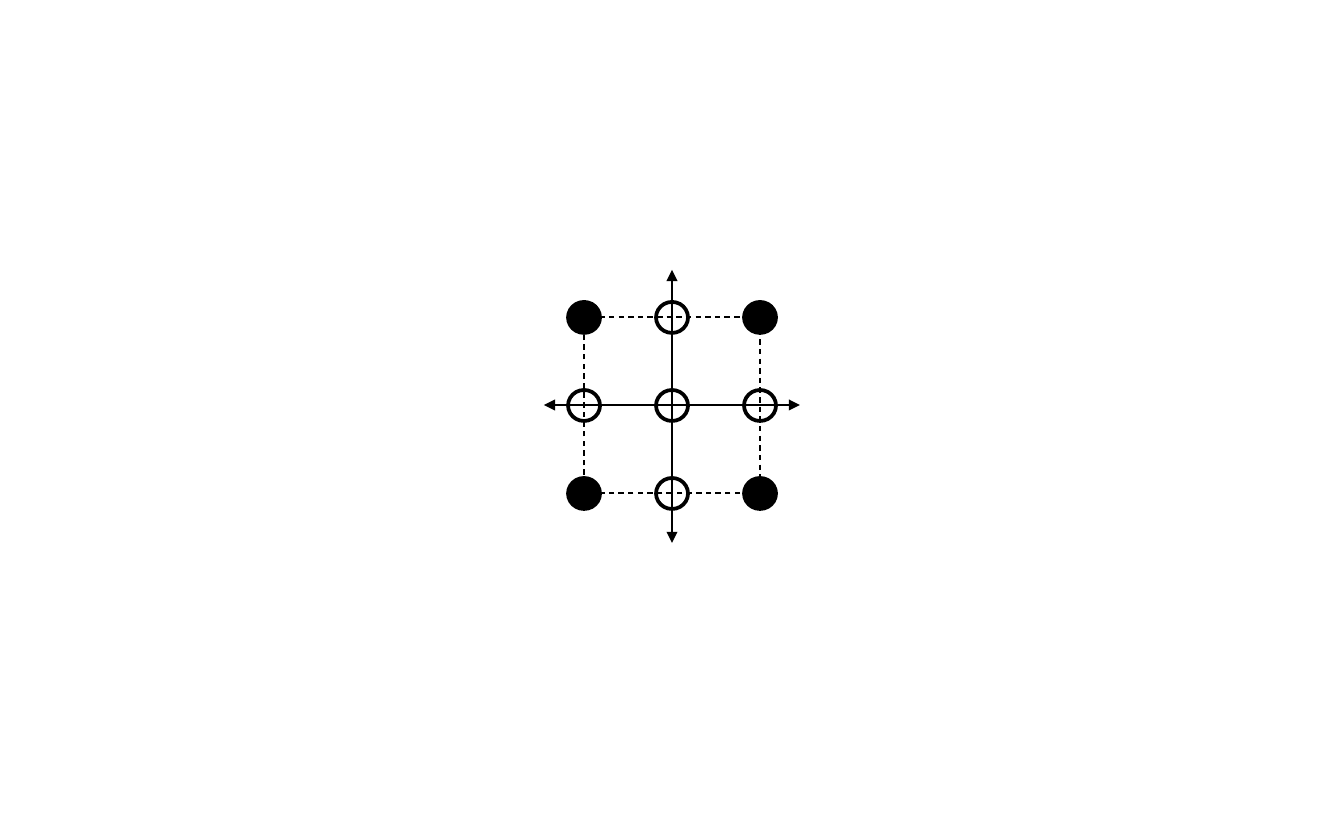
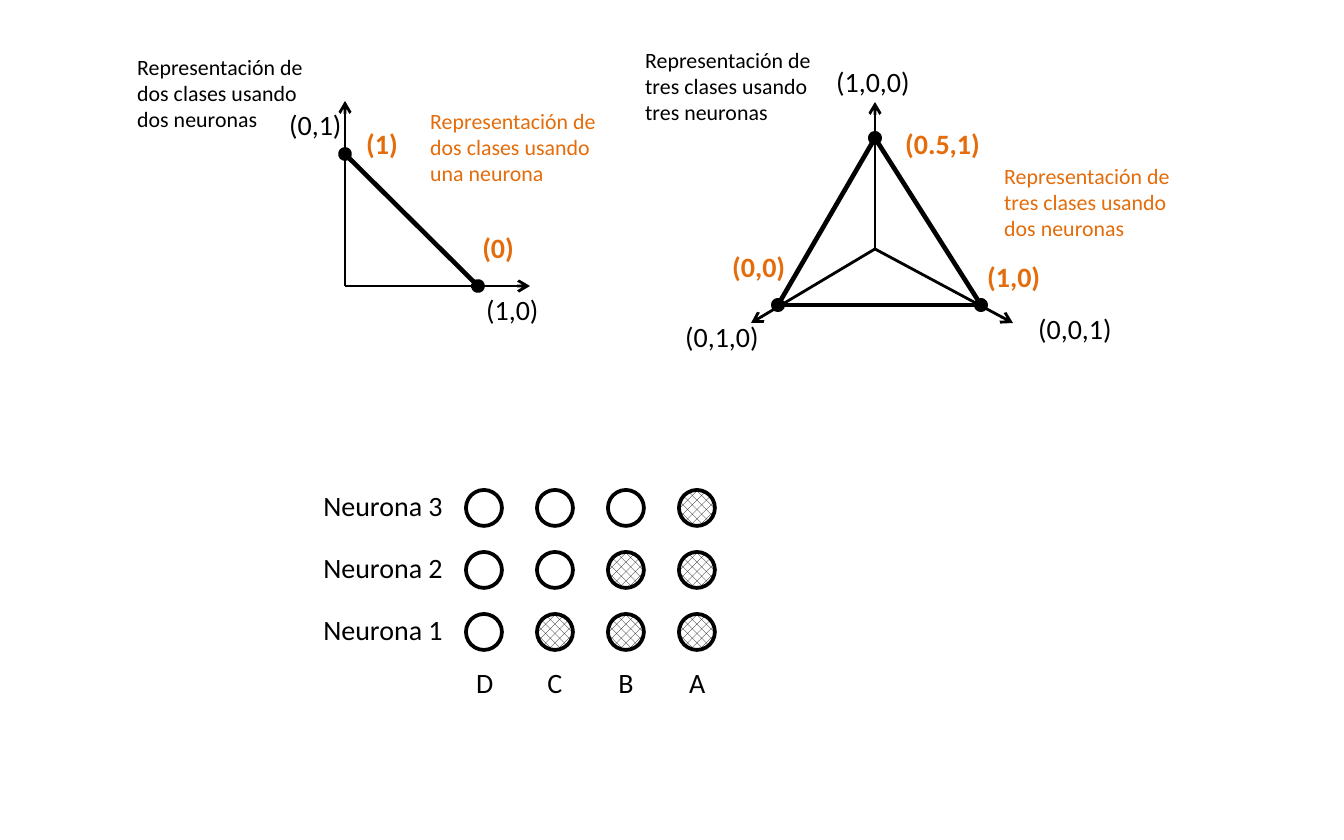
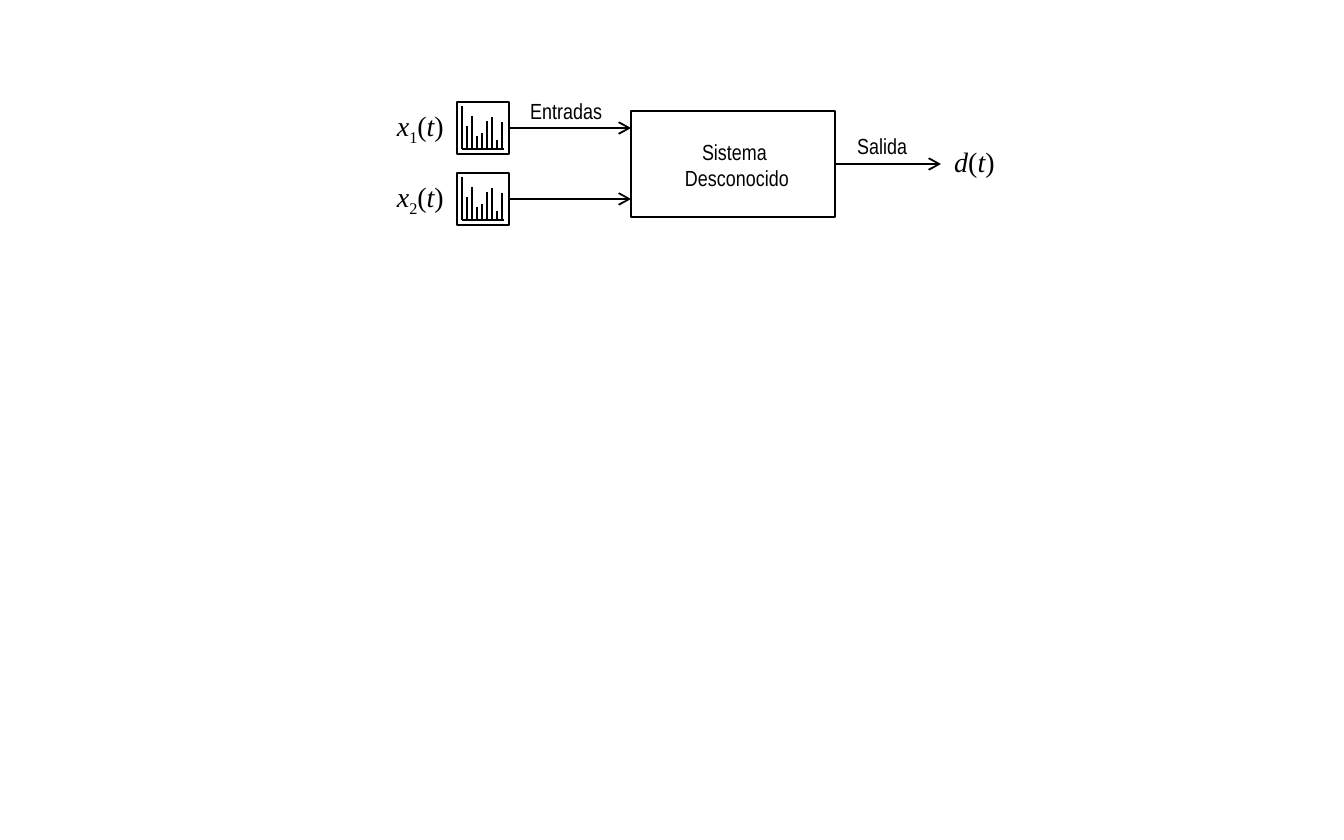
import pptx
import pptx.dml.color
import pptx.enum.dml
import pptx.enum.shapes
import pptx.enum.text
import pptx.oxml.ns
import pptx.oxml.xmlchemy
import pptx.util

SCALE = 9144000 / 1344
BLACK = pptx.dml.color.RGBColor(0, 0, 0)
WHITE = pptx.dml.color.RGBColor(255, 255, 255)
ORANGE = pptx.dml.color.RGBColor(0xE4, 0x6C, 0x0A)
SHAPE = pptx.enum.shapes.MSO_SHAPE
ALIGN = pptx.enum.text.PP_ALIGN
HATCH = "hatch"
NARROW = {"size": 11.7, "font": "Arial Narrow"}
BARS = (43, 23, 33, 13, 16, 28, 32, 9, 27)


def px(num):
    """Turn pixels into EMU."""
    return pptx.util.Emu(round(num * SCALE))


def text(shapes, box, *rows, size=15, font="Calibri", color=BLACK, bold=False,
         align=ALIGN.LEFT):
    """Write rows, each a string or a list of (word, look) runs."""
    frame = shapes.add_textbox(*map(px, box)).text_frame
    frame.word_wrap = False
    frame.auto_size = pptx.enum.text.MSO_AUTO_SIZE.SHAPE_TO_FIT_TEXT
    for num, row in enumerate(rows):
        para = frame.add_paragraph() if num else frame.paragraphs[0]
        para.alignment = align
        for word, look in [(row, "")] if isinstance(row, str) else row:
            run = para.add_run()
            run.text = word
            run.font.size = pptx.util.Pt(size)
            run.font.name = font
            run.font.bold = bold
            run.font.italic = look == "italic"
            run.font.color.rgb = color
            if look == "sub":
                run.font._rPr.set("baseline", "-25000")


def math(shapes, box, name, sub="", align=ALIGN.LEFT):
    """Write a signal as a function of time."""
    runs = [(name, "italic"), (sub, "sub"), ("(", ""), ("t", "italic"), (")", "")]
    text(shapes, box, [run for run in runs if run[0]],
         font="Times New Roman", align=align)


def shape(shapes, kind, box, width, fill=None):
    """Draw a black outline with no fill, a black fill or a hatch."""
    item = shapes.add_shape(kind, *map(px, box))
    item.shadow.inherit = False
    item.line.color.rgb = BLACK
    item.line.width = pptx.util.Pt(width)
    if fill is None:
        item.fill.background()
    elif fill == HATCH:
        item.fill.patterned()
        item.fill.pattern = pptx.enum.dml.MSO_PATTERN.PERCENT_50
        item.fill.fore_color.rgb = BLACK
        item.fill.back_color.rgb = WHITE
    else:
        item.fill.solid()
        item.fill.fore_color.rgb = fill
    return item


def line(shapes, start, end, width, head=None, tail=None):
    """Draw a straight black line with optional ends."""
    item = shapes.add_connector(pptx.enum.shapes.MSO_CONNECTOR.STRAIGHT,
                                *map(px, start + end))
    item.line.color.rgb = BLACK
    item.line.width = pptx.util.Pt(width)
    stroke = item.line._get_or_add_ln()
    for tag, kind in (("a:headEnd", head), ("a:tailEnd", tail)):
        if kind:
            mark = pptx.oxml.xmlchemy.OxmlElement(tag)
            mark.set("type", kind)
            stroke.append(mark)
    item._element.spPr.append(pptx.oxml.xmlchemy.OxmlElement("a:effectLst"))
    return item


def lattice(shapes):
    """Draw nine points around two axes."""
    left, top, step = 584, 317, 88
    for start, end in (((544, 405), (800, 405)), ((672, 270), (672, 543))):
        line(shapes, start, end, 1.5, "triangle", "triangle")
    frame = shape(shapes, SHAPE.RECTANGLE, (left, top, 2 * step, 2 * step), 0.75)
    frame.line.dash_style = pptx.enum.dml.MSO_LINE.DASH
    for row in range(3):
        for col in range(3):
            fill = BLACK if row != 1 and col != 1 else None
            box = (left + step * col - 16, top + step * row - 15, 32, 31)
            shape(shapes, SHAPE.OVAL, box, 2, fill)


def space(shapes, hub, tips, edges, marks):
    """Draw axes from a hub, edges between classes and their codes."""
    for tip in tips:
        line(shapes, hub, tip, 1.5, tail="arrow")
    for start, end in edges:
        line(shapes, start, end, 2.5, "oval", "oval")
    for word, left, top, width, color in marks:
        text(shapes, (left, top, width, 47), word, color=color,
             bold=color == ORANGE)


def table(shapes):
    """Draw the states of three neurons for four classes."""
    left, size, step, rise = 466, 36, 71, 62
    for num in (1, 2, 3):
        top = 676 - rise * num
        text(shapes, (308, top - 8, 148, 47), f"Neurona {num}", align=ALIGN.RIGHT)
        for col in range(4):
            shape(shapes, SHAPE.OVAL, (left + step * col, top, size, size), 2,
                  HATCH if col >= num else None)
    for col, name in enumerate("DCBA"):
        text(shapes, (left + step * col - 3, 659, 42, 47), name,
             align=ALIGN.CENTER)


def signal(shapes, top):
    """Draw a framed bar signal and return its frame."""
    left, base = 462, top + 47
    frame = shape(shapes, SHAPE.RECTANGLE, (457, top, 52, 52), 1)
    line(shapes, (left, base), (504, base), 1)
    for num, high in enumerate(BARS):
        spot = left + 5 * num
        line(shapes, (spot, base - high), (spot, base), 1)
    return frame


def classes(shapes):
    """Fill the slide on coding classes with neurons."""
    up, right = (345, 154), (478, 286)
    space(shapes.add_group_shape().shapes, (345, 286),
          [(345, 101), (530, 286)], [(up, right)],
          [("(0,1)", 276, 101, 79, BLACK), ("(1,0)", 473, 286, 79, BLACK),
           ("(1)", 353, 120, 59, ORANGE), ("(0)", 469, 224, 59, ORANGE)])
    peak, west, east = (875, 138), (778, 305), (981, 305)
    space(shapes.add_group_shape().shapes, (875, 249),
          [(875, 102), (751, 323), (1013, 323)],
          [(peak, west), (east, west), (east, peak)],
          [("(1,0,0)", 823, 58, 101, BLACK), ("(0,1,0)", 672, 313, 101, BLACK),
           ("(0,0,1)", 1025, 305, 101, BLACK), ("(0,0)", 719, 243, 81, ORANGE),
           ("(1,0)", 974, 253, 81, ORANGE), ("(0.5,1)", 892, 120, 102, ORANGE)])
    for left, top, count, units, color in (
            (124, 47, "dos", "dos neuronas", BLACK),
            (417, 101, "dos", "una neurona", ORANGE),
            (632, 40, "tres", "tres neuronas", BLACK),
            (991, 156, "tres", "dos neuronas", ORANGE)):
        text(shapes, (left, top, 194, 93), "Representación de",
             f"{count} clases usando", units, size=11.7, color=color)
    table(shapes.add_group_shape().shapes)


def system(shapes):
    """Fill the slide on the unknown system."""
    block = shape(shapes, SHAPE.RECTANGLE, (631, 111, 204, 106), 1.5)
    text(shapes, (671, 132, 132, 66), "Sistema ", "Desconocido",
         align=ALIGN.CENTER, **NARROW)
    for sub, top in (("1", 102), ("2", 173)):
        math(shapes, (382, top, 75, 47), "x", sub, ALIGN.RIGHT)
        frame = signal(shapes.add_group_shape().shapes, top)
        wire = line(shapes, (509, top + 26), (631, top + 26), 1, tail="arrow")
        wire.begin_connect(frame, 3)
    wire = line(shapes, (835, 164), (941, 164), 1, tail="arrow")
    wire.begin_connect(block, 3)
    text(shapes, (517, 91, 99, 40), "Entradas", **NARROW)
    text(shapes, (844, 126, 78, 40), "Salida", **NARROW)
    math(shapes, (941, 138, 69, 47), "d")


def main():
    """Build and save the three slides."""
    deck = pptx.Presentation()
    deck.slide_width, deck.slide_height = px(1344), px(840)
    for draw in (lattice, classes, system):
        draw(deck.slides.add_slide(deck.slide_layouts[6]).shapes)
    deck.save("out.pptx")


if __name__ == "__main__":
    main()
